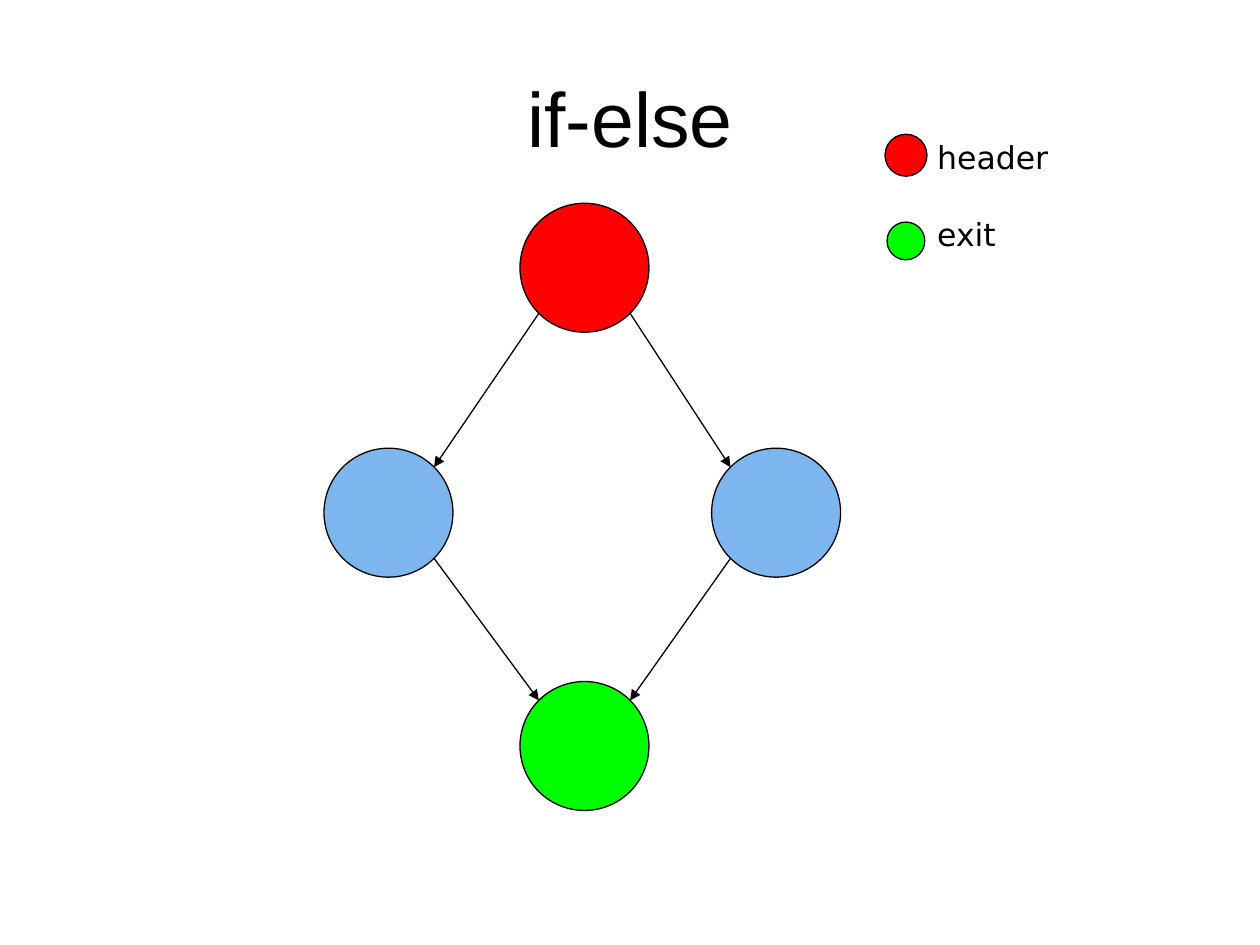
"""Build a slide showing the control-flow graph of an if-else statement."""
from dataclasses import dataclass
from math import copysign, sqrt

from lxml import etree
from pptx import Presentation
from pptx.dml.color import RGBColor
from pptx.enum.shapes import MSO_CONNECTOR, MSO_SHAPE
from pptx.enum.text import MSO_ANCHOR, PP_ALIGN
from pptx.oxml.ns import qn
from pptx.util import Pt

OVAL = MSO_SHAPE.OVAL
STRAIGHT = MSO_CONNECTOR.STRAIGHT
TOP, MIDDLE = MSO_ANCHOR.TOP, MSO_ANCHOR.MIDDLE
LEFT, CENTER = PP_ALIGN.LEFT, PP_ALIGN.CENTER


@dataclass(frozen=True)
class Theme:
    ink: RGBColor = RGBColor(0, 0, 0)
    header: RGBColor = RGBColor(255, 0, 0)
    branch: RGBColor = RGBColor(0x7D, 0xB6, 0xEF)
    exit: RGBColor = RGBColor(0, 255, 0)
    title_font: str = "Arial"
    legend_font: str = "DejaVu Sans"
    title_size: int = 44
    legend_size: int = 18
    line_width: float = 0.75


THEME = Theme()
TITLE = "if-else"
NODE_DIAMETER = 73.7
NODES = {
    "header": (334, 153, THEME.header),
    "then": (222, 293, THEME.branch),
    "else": (443.5, 293, THEME.branch),
    "exit": (334, 426.3, THEME.exit),
}
EDGES = [("header", "else"), ("header", "then"), ("then", "exit"), ("else", "exit")]
LEGEND_CENTER = 517.7
LEGEND = [("header", 88.7, 24, THEME.header), ("exit", 137.7, 21.6, THEME.exit)]
LEGEND_GAP = 22.4


def add_circle(slide, center_x, center_y, diameter, color):
    circle = slide.shapes.add_shape(
        OVAL, Pt(center_x - diameter / 2), Pt(center_y - diameter / 2), Pt(diameter), Pt(diameter)
    )
    circle.shadow.inherit = False
    circle.fill.solid()
    circle.fill.fore_color.rgb = color
    circle.line.color.rgb = THEME.ink
    circle.line.width = Pt(THEME.line_width)


def add_edge(slide, source, target):
    """Join two nodes at the diagonal points of their outlines."""
    (start_x, start_y, _), (end_x, end_y, _) = NODES[source], NODES[target]
    reach = NODE_DIAMETER / 2 / sqrt(2)
    shift_x = copysign(reach, end_x - start_x)
    edge = slide.shapes.add_connector(
        STRAIGHT, Pt(start_x + shift_x), Pt(start_y + reach), Pt(end_x - shift_x), Pt(end_y - reach)
    )
    edge.line.color.rgb = THEME.ink
    edge.line.width = Pt(THEME.line_width)
    etree.SubElement(edge.line._get_or_add_ln(), qn("a:tailEnd"), type="triangle")
    etree.SubElement(edge._element.spPr, qn("a:effectLst"))


def add_text(slide, frame, lines, font_name, size, align, anchor, gap=0):
    box = slide.shapes.add_textbox(*map(Pt, frame))
    text = box.text_frame
    text.word_wrap = True
    text.vertical_anchor = anchor
    text.text = "\n".join(lines)
    for index, para in enumerate(text.paragraphs):
        para.alignment = align
        para.space_before = Pt(gap if index else 0)
        para.font.name = font_name
        para.font.size = Pt(size)
        para.font.color.rgb = THEME.ink


def main():
    deck = Presentation()
    deck.slide_width, deck.slide_height = Pt(720), Pt(540)
    slide = deck.slides.add_slide(deck.slide_layouts[6])
    add_text(slide, (36, 21.6, 648, 90), [TITLE],
             THEME.title_font, THEME.title_size, CENTER, MIDDLE)
    for center_x, center_y, color in NODES.values():
        add_circle(slide, center_x, center_y, NODE_DIAMETER, color)
    for source, target in EDGES:
        add_edge(slide, source, target)
    add_text(slide, (528.5, 75.6, 184.3, 72), [label for label, *_ in LEGEND],
             THEME.legend_font, THEME.legend_size, LEFT, TOP, LEGEND_GAP)
    for _, center_y, diameter, color in LEGEND:
        add_circle(slide, LEGEND_CENTER, center_y, diameter, color)
    deck.save("out.pptx")


if __name__ == "__main__":
    main()
